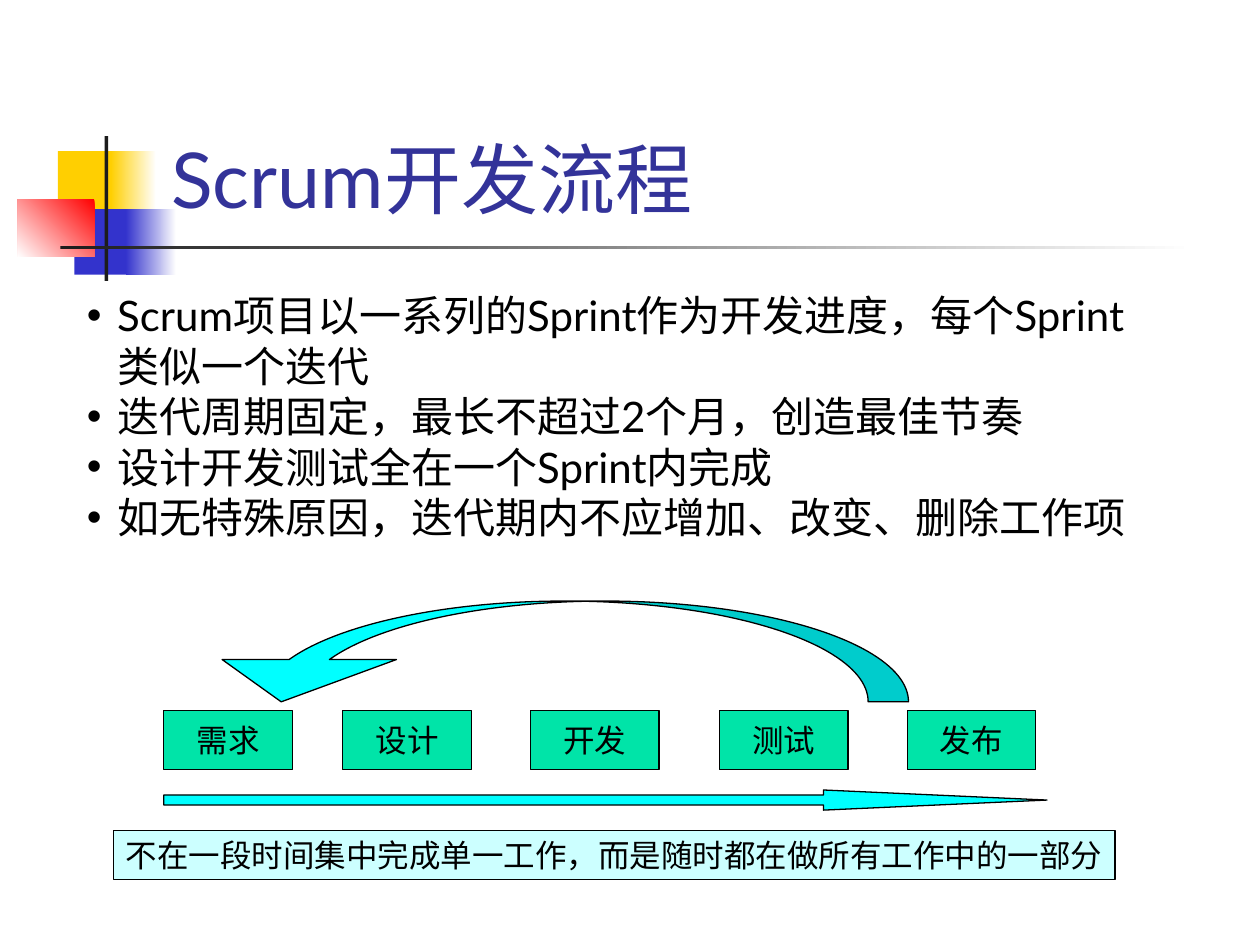
import pptx
import pptx.util
from dataclasses import dataclass
from pptx.dml.color import RGBColor
from pptx.enum.shapes import MSO_SHAPE
from pptx.enum.text import MSO_ANCHOR, MSO_AUTO_SIZE, PP_ALIGN
from pptx.util import Inches


@dataclass(frozen=True)
class Theme:
    font: str = "Lato"
    title_size: int = 44
    body_size: int = 24
    label_size: int = 18
    line_width: float = 0.75
    title: str = "333399"
    text: str = "000000"
    white: str = "FFFFFF"
    yellow: str = "FFCF01"
    blue: str = "3333CC"
    red: str = "FF0000"
    dark: str = "1C1C1C"
    step: str = "00E4A8"
    arrow: str = "00FFFF"
    note: str = "CCFFFF"


theme = Theme()

presentation = pptx.Presentation()
presentation.slide_width = Inches(10)
presentation.slide_height = Inches(7.5)
slide = presentation.slides.add_slide(presentation.slide_layouts[1])


def add_filled_shape(kind, box, color, outlined=True):
    shape = slide.shapes.add_shape(kind, *[Inches(value) for value in box])
    shape.shadow.inherit = False
    shape.fill.solid()
    shape.fill.fore_color.rgb = RGBColor.from_string(color)
    if outlined:
        shape.line.color.rgb = RGBColor.from_string(theme.text)
        shape.line.width = pptx.util.Pt(theme.line_width)
    else:
        shape.line.fill.background()
    return shape


def write_paragraph(paragraph, text, size, color, alignment=PP_ALIGN.LEFT):
    paragraph.alignment = alignment
    paragraph.space_before = pptx.util.Pt(0)
    run = paragraph.add_run()
    run.text = text
    run.font.name = theme.font
    run.font.size = pptx.util.Pt(size)
    run.font.color.rgb = RGBColor.from_string(color)


# Corner ornament: box, start colour, end colour (None for plain), angle
ornament = [
    ((0.46, 1.2, 0.48, 0.52), theme.yellow, None, 0),
    ((0.88, 1.2, 0.36, 0.52), theme.yellow, theme.white, 0),
    ((0.59, 1.66, 0.46, 0.52), theme.blue, None, 0),
    ((1, 1.66, 0.4, 0.52), theme.blue, theme.white, 0),
    ((0.14, 1.58, 0.61, 0.46), theme.red, theme.white, 225),
    ((0.83, 1.08, 0.03, 1.15), theme.dark, None, 0),
    ((0.48, 1.95, 9, 0.03), theme.dark, theme.white, 0),
]
for box, start, end, angle in ornament:
    shape = add_filled_shape(MSO_SHAPE.RECTANGLE, box, start, outlined=False)
    if end:
        shape.fill.gradient()
        shape.fill.gradient_angle = angle
        for stop, color in zip(shape.fill.gradient_stops, (start, end)):
            stop.color.rgb = RGBColor.from_string(color)

# Title and list, brought in front of the ornament
title, body = slide.shapes.title, slide.placeholders[1]
for placeholder, box, anchor in [
    (title, (1.26, 0.23, 8.52, 1.6), MSO_ANCHOR.BOTTOM),
    (body, (0.59, 2.25, 8.51, 2.56), MSO_ANCHOR.TOP),
]:
    placeholder.left, placeholder.top, placeholder.width, placeholder.height = [
        Inches(value) for value in box
    ]
    placeholder.text_frame.auto_size = MSO_AUTO_SIZE.NONE
    placeholder.text_frame.vertical_anchor = anchor
    placeholder.element.getparent().append(placeholder.element)

write_paragraph(title.text_frame.paragraphs[0], "Scrum开发流程",
                theme.title_size, theme.title)

points = [
    "Scrum项目以一系列的Sprint作为开发进度，每个Sprint类似一个迭代",
    "迭代周期固定，最长不超过2个月，创造最佳节奏",
    "设计开发测试全在一个Sprint内完成",
    "如无特殊原因，迭代期内不应增加、改变、删除工作项",
]
for index, point in enumerate(points):
    frame = body.text_frame
    paragraph = frame.add_paragraph() if index else frame.paragraphs[0]
    properties = paragraph._p.get_or_add_pPr()
    properties.set("marL", str(Inches(0.24)))
    properties.set("indent", str(-Inches(0.24)))
    write_paragraph(paragraph, point, theme.body_size, theme.text)

# Process steps and the note below them
labels = [
    ("不在一段时间集中完成单一工作，而是随时都在做所有工作中的一部分",
     (0.9, 6.59, 7.95, 0.39), theme.note, PP_ALIGN.LEFT),
]
steps = {"需求": 1.3, "设计": 2.72, "开发": 4.21, "测试": 5.71, "发布": 7.2}
for name, left in steps.items():
    labels.append((name, (left, 5.64, 1.02, 0.47), theme.step, PP_ALIGN.CENTER))

for text, box, color, alignment in labels:
    shape = add_filled_shape(MSO_SHAPE.RECTANGLE, box, color)
    shape.text_frame.word_wrap = False
    shape.text_frame.vertical_anchor = MSO_ANCHOR.MIDDLE
    write_paragraph(shape.text_frame.paragraphs[0], text,
                    theme.label_size, theme.text, alignment)

# Forward arrow and the loop back to the first step
arrows = [
    (MSO_SHAPE.RIGHT_ARROW, (1.3, 6.27, 7.01, 0.16), 0, (0.5, 11.1)),
    (MSO_SHAPE.CURVED_UP_ARROW, (1.54, 4.77, 5.67, 0.8), 180, (0.4, 1.73, 0.42)),
]
for kind, box, rotation, adjustments in arrows:
    arrow = add_filled_shape(kind, box, theme.arrow)
    arrow.rotation = rotation
    for index, value in enumerate(adjustments):
        arrow.adjustments[index] = value

presentation.save("out.pptx")
